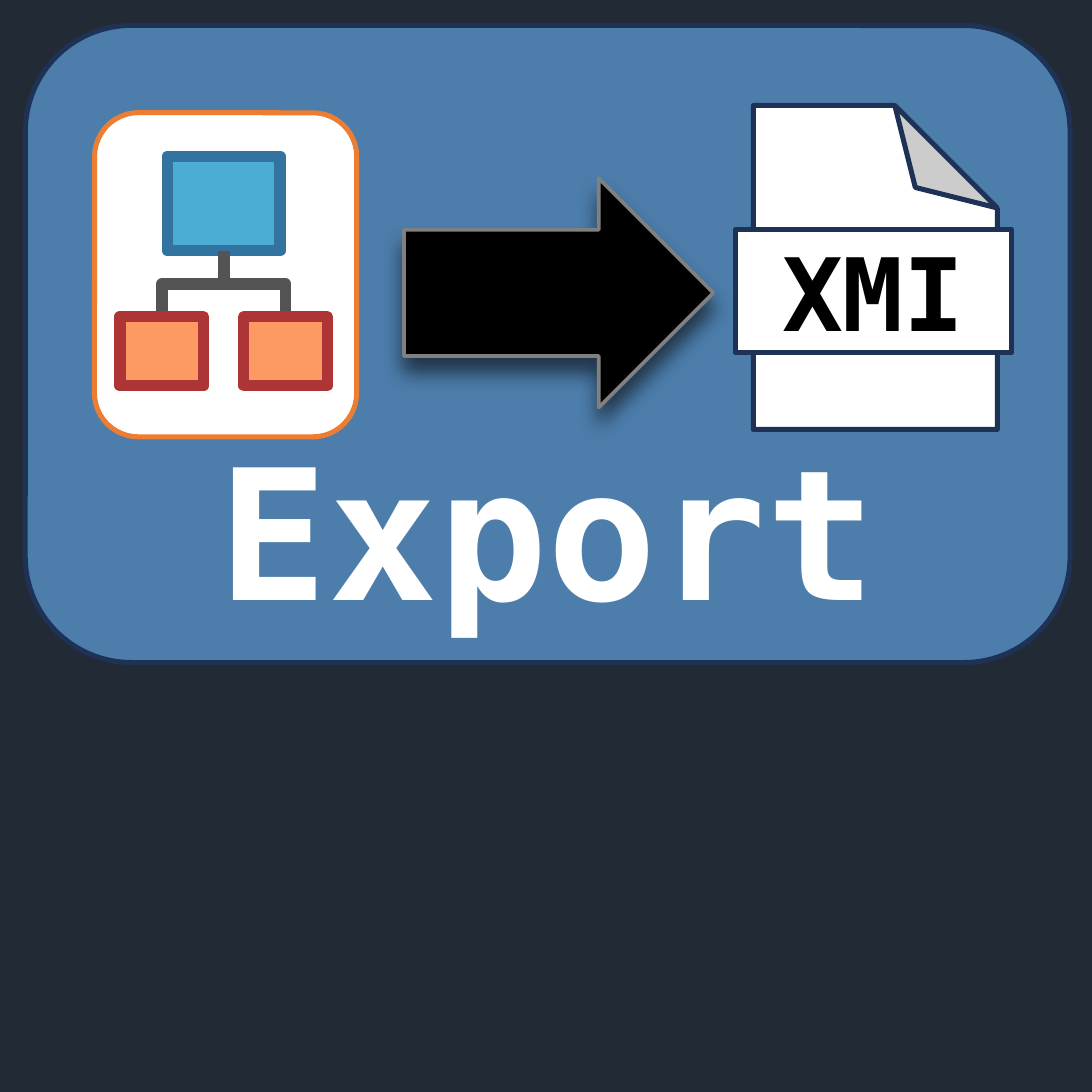
from lxml import etree
from pptx import Presentation
from pptx.dml.color import RGBColor
from pptx.enum.shapes import MSO_CONNECTOR, MSO_SHAPE
from pptx.enum.text import MSO_ANCHOR, PP_ALIGN
from pptx.oxml import parse_xml
from pptx.oxml.ns import nsdecls, qn
from pptx.util import Inches, Pt

RECT, ROUNDED = MSO_SHAPE.RECTANGLE, MSO_SHAPE.ROUNDED_RECTANGLE
FOLDED, ARROW = MSO_SHAPE.FOLDED_CORNER, MSO_SHAPE.RIGHT_ARROW
ELBOW = MSO_CONNECTOR.ELBOW
MIDDLE, CENTER = MSO_ANCHOR.MIDDLE, PP_ALIGN.CENTER

# Content: the slide is a grid of 300 columns by 300 rows
SIDE, GRID = 3, 300
FONT = "DejaVu Sans Mono"
NAVY, WHITE, BLACK = "1E3256", "FFFFFF", "000000"
BACKGROUND, BRANCH_COLOR = "222A35", "545454"
CAPTION = ("Export", 36, WHITE)
FORMAT_LABEL = ("XMI", 20, BLACK)

# Boxes: left, top, width, height
PANEL = (7, 7, 287, 175)
MODEL_CARD = (26, 31, 72, 89)
PARENT_NODE = (46, 43, 31, 26)
CHILD_SIZE = (23, 19)
CHILD_GAP = 11
CHILD_TOP = 87
FILE_PAGE = (207, 29, 67, 89)
FORMAT_BAND = (202, 63, 76, 34)
EXPORT_ARROW = (111, 49, 85, 63)
CAPTION_BOX = (7, 126, 287, 38)


def grid(cells):
    return Inches(SIDE * cells / GRID)


def color(hex_code):
    return RGBColor.from_string(hex_code)


def add_block(kind, box, fill, line, weight=1):
    block = slide.shapes.add_shape(kind, *map(grid, box))
    block.shadow.inherit = False
    block.fill.solid()
    block.fill.fore_color.rgb = color(fill)
    block.line.color.rgb = color(line)
    block.line.width = Pt(weight)
    return block


def write(holder, label):
    text, size, text_color = label
    frame = holder.text_frame
    frame.word_wrap = True
    frame.vertical_anchor = MIDDLE
    paragraph = frame.paragraphs[0]
    paragraph.text = text
    paragraph.alignment = CENTER
    font = paragraph.font
    font.name, font.size, font.bold = FONT, Pt(size), True
    font.color.rgb = color(text_color)


def add_branch(start_x, start_y, end_x, end_y):
    """Elbow that leaves downwards: a sideways elbow turned a quarter."""
    middle_x, middle_y = (start_x + end_x) / 2, (start_y + end_y) / 2
    half_drop, half_spread = (end_y - start_y) / 2, abs(end_x - start_x) / 2
    to_left = end_x < start_x
    reach = half_drop if to_left else -half_drop
    branch = slide.shapes.add_connector(
        ELBOW, grid(middle_x - reach), grid(middle_y - half_spread),
        grid(middle_x + reach), grid(middle_y + half_spread))
    properties = branch._element.spPr
    properties.find(qn("a:xfrm")).set("rot", str((90 if to_left else 270) * 60000))
    branch.line.color.rgb = color(BRANCH_COLOR)
    branch.line.width = Pt(2.25)
    etree.SubElement(properties, qn("a:effectLst"))


presentation = Presentation()
presentation.slide_width = presentation.slide_height = Inches(SIDE)
slide = presentation.slides.add_slide(presentation.slide_layouts[6])
slide.background.fill.solid()
slide.background.fill.fore_color.rgb = color(BACKGROUND)

# Panel and model card
add_block(ROUNDED, PANEL, "4C7DAB", NAVY)
add_block(ROUNDED, MODEL_CARD, WHITE, "ED7D31")

# Model tree: one parent, two children spread evenly below it
add_block(RECT, PARENT_NODE, "4CADD4", "3373A0", 2.25)
parent_left, parent_top, parent_width, parent_height = PARENT_NODE
child_width, child_height = CHILD_SIZE
tree_center = parent_left + parent_width / 2
child_centers = [tree_center + side * (child_width + CHILD_GAP) / 2 for side in (-1, 1)]
for child_center in child_centers:
    add_branch(tree_center, parent_top + parent_height, child_center, CHILD_TOP)
for child_center in child_centers:
    child_box = (child_center - child_width / 2, CHILD_TOP, child_width, child_height)
    add_block(RECT, child_box, "FD9962", "AD3535", 2.25)

# File with its fold at the top right, and the format band
file_page = add_block(FOLDED, FILE_PAGE, WHITE, NAVY)
file_page.rotation = 180
page_properties = file_page._element.spPr
page_properties.find(qn("a:xfrm")).set("flipH", "1")
fold_guides = page_properties.find(qn("a:prstGeom")).get_or_add_avLst()
for guide in list(fold_guides):
    fold_guides.remove(guide)
etree.SubElement(fold_guides, qn("a:gd"), name="adj", fmla="val 42000")
write(add_block(RECT, FORMAT_BAND, WHITE, NAVY), FORMAT_LABEL)

# Export arrow with a soft shadow below
export_arrow = add_block(ARROW, EXPORT_ARROW, BLACK, "808080", 0.75)
export_arrow.adjustments[0] = 0.55
export_arrow._element.spPr.find(qn("a:effectLst")).append(parse_xml(
    f'<a:outerShdw {nsdecls("a")} blurRad="{Pt(4)}" dist="{Pt(3)}" dir="5400000" '
    f'rotWithShape="0"><a:srgbClr val="{BLACK}"><a:alpha val="56000"/></a:srgbClr>'
    '</a:outerShdw>'))

# Caption
write(slide.shapes.add_textbox(*map(grid, CAPTION_BOX)), CAPTION)

presentation.save("out.pptx")
